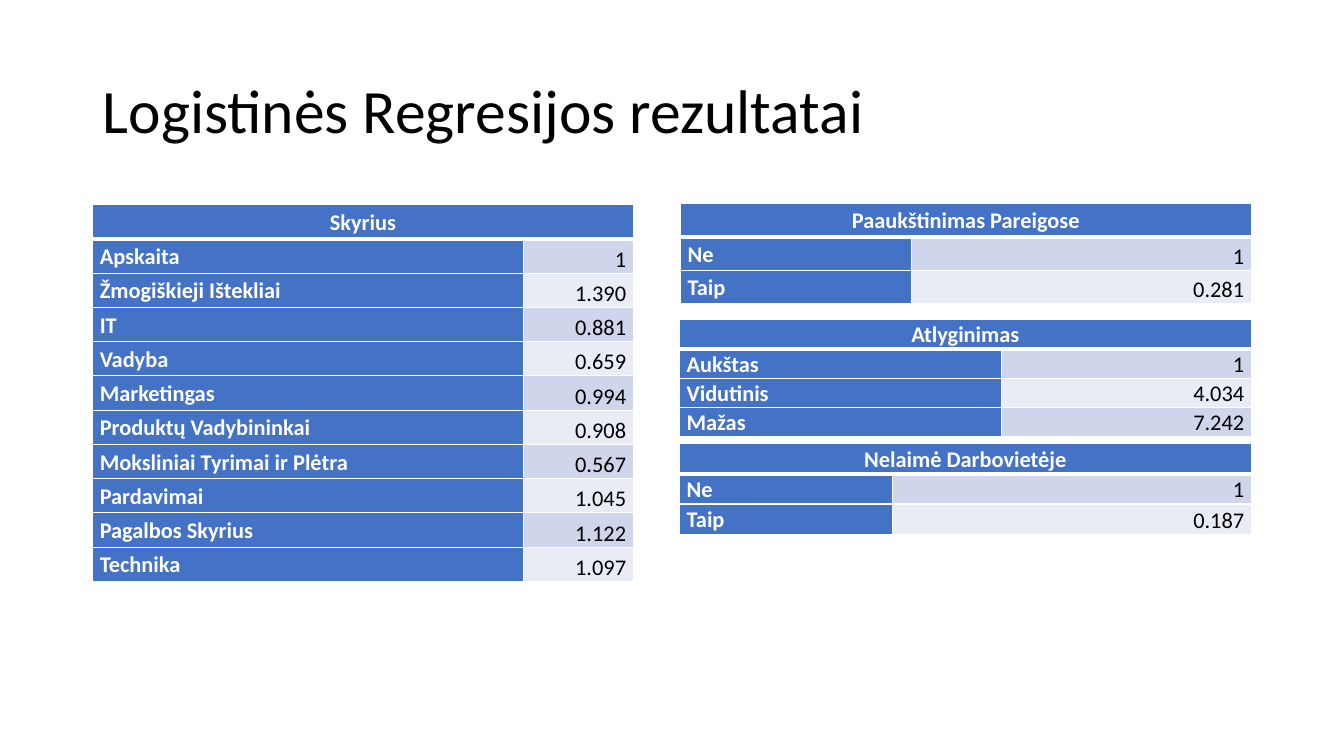
from lxml.etree import SubElement
from pptx import Presentation
from pptx.dml.color import RGBColor
from pptx.enum.text import MSO_ANCHOR, PP_ALIGN
from pptx.oxml.ns import qn
from pptx.util import Inches, Pt

TITLE = "Logistinės Regresijos rezultatai"
TABLES = [
    {
        "heading": "Nelaimė Darbovietėje",
        "position": (6.74, 4.4), "columns": (2.11, 3.56), "row_height": 0.3,
        "rows": [("Ne", "1"), ("Taip", "0.187")],
    },
    {
        "heading": "Paaukštinimas Pareigose",
        "position": (6.75, 2.02), "columns": (2.29, 3.37), "row_height": 0.33,
        "rows": [("Ne", "1"), ("Taip", "0.281")],
    },
    {
        "heading": "Atlyginimas",
        "position": (6.74, 3.17), "columns": (3.19, 2.48), "row_height": 0.25,
        "rows": [("Aukštas", "1"), ("Vidutinis", "4.034"), ("Mažas", "7.242")],
    },
    {
        "heading": "Skyrius",
        "position": (0.92, 2.03), "columns": (4.27, 1.09), "row_height": 0.34,
        "rows": [
            ("Apskaita", "1"),
            ("Žmogiškieji Ištekliai", "1.390"),
            ("IT", "0.881"),
            ("Vadyba", "0.659"),
            ("Marketingas", "0.994"),
            ("Produktų Vadybininkai", "0.908"),
            ("Moksliniai Tyrimai ir Plėtra", "0.567"),
            ("Pardavimai", "1.045"),
            ("Pagalbos Skyrius", "1.122"),
            ("Technika", "1.097"),
        ],
    },
]
COLORS = {
    "header": "4472C4", "odd_band": "CFD5EA", "even_band": "E9EBF5",
    "white": "FFFFFF", "black": "000000",
}
FONT = "Calibri"


def color(name):
    return RGBColor.from_string(COLORS[name])


def add_borders(cell, bottom_width):
    properties = cell._tc.get_or_add_tcPr()
    for side, width in (("L", 1), ("R", 1), ("T", 1), ("B", bottom_width)):
        line = SubElement(properties, qn(f"a:ln{side}"), w=str(Pt(width)))
        fill = SubElement(line, qn("a:solidFill"))
        SubElement(fill, qn("a:srgbClr"), val=COLORS["white"])


def format_cell(cell, text, fill, alignment, is_value=False, bottom_width=1):
    add_borders(cell, bottom_width)
    cell.fill.solid()
    cell.fill.fore_color.rgb = color(fill)
    cell.margin_left = cell.margin_right = Inches(0.07)
    cell.margin_top = cell.margin_bottom = 0
    cell.vertical_anchor = MSO_ANCHOR.BOTTOM if is_value else MSO_ANCHOR.MIDDLE
    cell.text = text
    paragraph = cell.text_frame.paragraphs[0]
    paragraph.alignment = alignment
    paragraph.line_spacing = 1.07
    paragraph.font.name = FONT
    paragraph.font.size = Pt(16)
    paragraph.font.bold = not is_value
    paragraph.font.color.rgb = color("black" if is_value else "white")


def add_result_table(slide, heading, position, columns, row_height, rows):
    left, top = position
    row_count = len(rows) + 1
    table = slide.shapes.add_table(
        row_count, 2, Inches(left), Inches(top),
        Inches(sum(columns)), Inches(row_height * row_count),
    ).table
    for column, width in zip(table.columns, columns):
        column.width = Inches(width)
    for row in table.rows:
        row.height = Inches(row_height)
    table.cell(0, 0).merge(table.cell(0, 1))
    format_cell(table.cell(0, 0), heading, "header", PP_ALIGN.CENTER, bottom_width=3)
    add_borders(table.cell(0, 1), 3)
    for index, (label, value) in enumerate(rows, start=1):
        band = "odd_band" if index % 2 else "even_band"
        format_cell(table.cell(index, 0), label, "header", PP_ALIGN.LEFT)
        format_cell(table.cell(index, 1), value, band, PP_ALIGN.RIGHT, is_value=True)


presentation = Presentation()
presentation.slide_width = Inches(13.33)
presentation.slide_height = Inches(7.5)
slide = presentation.slides.add_slide(presentation.slide_layouts[5])

title = slide.shapes.title
title.left, title.top = Inches(0.92), Inches(0.4)
title.width, title.height = Inches(11.5), Inches(1.45)
title.text_frame.text = TITLE
title.text_frame.vertical_anchor = MSO_ANCHOR.MIDDLE
paragraph = title.text_frame.paragraphs[0]
paragraph.alignment = PP_ALIGN.LEFT
paragraph.line_spacing = 0.9
paragraph.font.name = FONT
paragraph.font.size = Pt(44)
paragraph.font.color.rgb = color("black")

for result in TABLES:
    add_result_table(slide, **result)

presentation.save("out.pptx")
